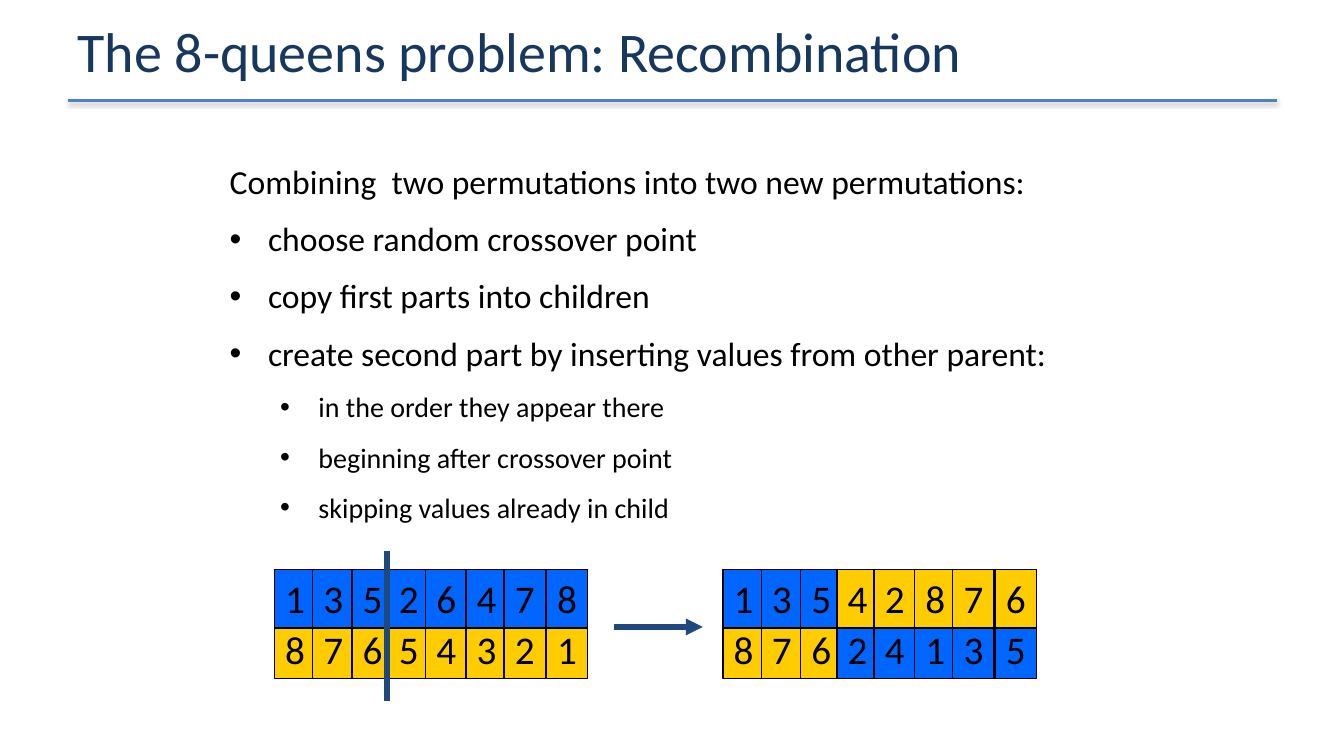
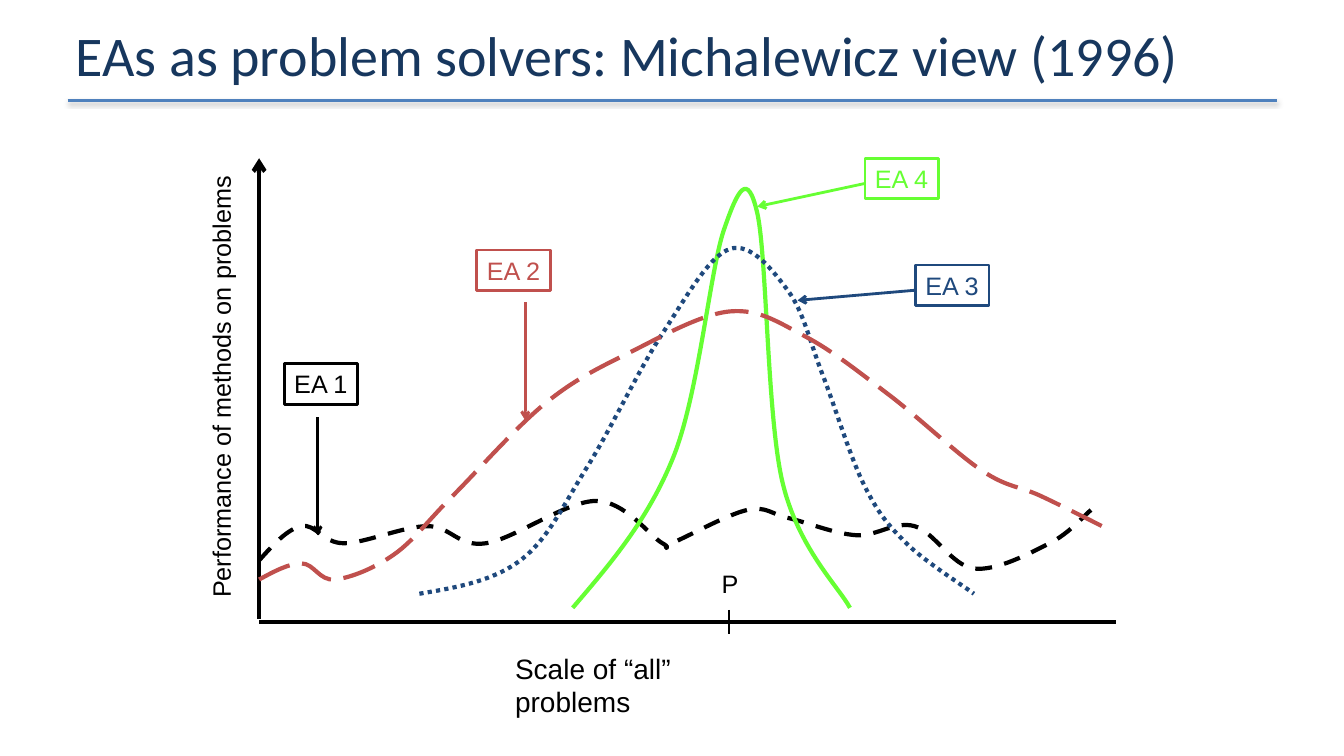
from dataclasses import dataclass
from itertools import pairwise
from typing import Optional

from lxml import etree
from pptx import Presentation
from pptx.dml.color import RGBColor
from pptx.enum.dml import MSO_LINE
from pptx.enum.shapes import MSO_CONNECTOR, MSO_SHAPE
from pptx.enum.text import MSO_ANCHOR, PP_ALIGN
from pptx.oxml.ns import qn
from pptx.presentation import Presentation as Deck
from pptx.shapes.autoshape import Shape
from pptx.shapes.connector import Connector
from pptx.slide import Slide
from pptx.text.text import _Paragraph as Paragraph
from pptx.util import Inches, Pt

BLACK = RGBColor(0x00, 0x00, 0x00)
TITLE_NAVY = RGBColor(0x17, 0x37, 0x5E)
RULE_BLUE = RGBColor(0x4F, 0x81, 0xBD)
DARK_BLUE = RGBColor(0x1F, 0x49, 0x7D)
GENE_BLUE = RGBColor(0x00, 0x66, 0xFF)
GENE_YELLOW = RGBColor(0xFF, 0xCC, 0x00)
GREEN = RGBColor(0x66, 0xFF, 0x33)
RED = RGBColor(0xC0, 0x50, 0x4D)

BODY_FONT = "Calibri"
CHART_FONT = "Arial"
TITLE_ONLY = 5
RECTANGLE = MSO_SHAPE.RECTANGLE
STRAIGHT = MSO_CONNECTOR.STRAIGHT
LEFT = PP_ALIGN.LEFT
CENTER = PP_ALIGN.CENTER
TOP = MSO_ANCHOR.TOP
MIDDLE = MSO_ANCHOR.MIDDLE
DASH = MSO_LINE.DASH
LONG_DASH = MSO_LINE.LONG_DASH
DOTTED = MSO_LINE.ROUND_DOT

HANG = 0.38
SUB_INDENT = 0.88
COLUMN_OFFSETS = (0, 0.38, 0.77, 1.13, 1.5, 1.9, 2.28, 2.7)
CELL_SIZE = (0.41, 0.58)
FIRST_ROW_TOP, SECOND_ROW_TOP = 5.65, 6.15
PARENTS_LEFT, CHILDREN_LEFT = 2.72, 7.17
CROSSOVER = 3
LABEL_SIZE = (0.73, 0.4)

Point = tuple[float, float]


@dataclass(frozen=True)
class BodyLine:
    text: str
    size: int = 24
    indent: Optional[float] = None
    level: int = 0


@dataclass(frozen=True)
class GeneRow:
    left: float
    top: float
    digits: str
    head_color: RGBColor
    tail_color: RGBColor


@dataclass(frozen=True)
class Algorithm:
    name: str
    color: RGBColor
    dash: Optional[MSO_LINE]
    label: Point
    arrow: tuple[Point, Point]
    knots: tuple[Point, ...]


BODY_LINES = (
    BodyLine("Combining  two permutations into two new permutations:"),
    BodyLine("choose random crossover point", indent=HANG),
    BodyLine("copy first parts into children", indent=HANG),
    BodyLine("create second part by inserting values from other parent:", indent=HANG),
    BodyLine("in the order they appear there", 20, SUB_INDENT, 1),
    BodyLine("beginning after crossover point", 20, SUB_INDENT, 1),
    BodyLine("skipping values already in child", 20, SUB_INDENT, 1),
)

GENE_ROWS = (
    GeneRow(CHILDREN_LEFT, SECOND_ROW_TOP, "87624135", GENE_YELLOW, GENE_BLUE),
    GeneRow(CHILDREN_LEFT, FIRST_ROW_TOP, "13542876", GENE_BLUE, GENE_YELLOW),
    GeneRow(PARENTS_LEFT, SECOND_ROW_TOP, "87654321", GENE_YELLOW, GENE_YELLOW),
    GeneRow(PARENTS_LEFT, FIRST_ROW_TOP, "13526478", GENE_BLUE, GENE_BLUE),
)

ALGORITHMS = (
    Algorithm("EA 1", BLACK, DASH, (2.82, 3.61), ((3.15, 4.14), (3.15, 5.31)), (
        (2.57, 5.56), (2.99, 5.22), (3.41, 5.39), (4.24, 5.22), (4.82, 5.39),
        (5.91, 4.97), (6.57, 5.39), (6.66, 5.39), (7.41, 5.06), (7.82, 5.14),
        (8.49, 5.31), (9.07, 5.22), (9.66, 5.64), (10.41, 5.39), (10.82, 5.06))),
    Algorithm("EA 4", GREEN, None, (8.58, 1.57), ((8.58, 1.82), (7.51, 2.05)), (
        (5.68, 6.03), (6.68, 4.53), (7.18, 2.28), (7.51, 2.11), (7.76, 4.78),
        (8.43, 6.03))),
    Algorithm("EA 3", DARK_BLUE, DOTTED, (9.08, 2.63), ((9.07, 2.88), (7.91, 2.98)), (
        (4.16, 5.89), (5.16, 5.56), (5.82, 4.64), (6.57, 3.31), (7.24, 2.47),
        (7.82, 2.89), (8.16, 3.72), (8.57, 4.81), (8.99, 5.39), (9.66, 5.89))),
    Algorithm("EA 2", RED, LONG_DASH, (4.73, 2.48), ((5.21, 3), (5.21, 4.17)), (
        (2.57, 5.75), (2.99, 5.59), (3.32, 5.75), (3.91, 5.5), (4.49, 4.92),
        (5.41, 4), (6.24, 3.5), (7.24, 3.09), (7.99, 3.34), (8.82, 3.92),
        (9.74, 4.67), (10.32, 4.92), (10.99, 5.25))),
)


def add_run(paragraph: Paragraph, text: str, size: int, font: str, color: RGBColor) -> None:
    run = paragraph.add_run()
    run.text = text
    run.font.size = Pt(size)
    run.font.name = font
    run.font.color.rgb = color


def add_line(slide: Slide, start: Point, end: Point, color: RGBColor, width: float,
             arrowhead: Optional[str] = None) -> Connector:
    connector = slide.shapes.add_connector(
        STRAIGHT, *(Inches(value) for value in start + end))
    connector.line.color.rgb = color
    connector.line.width = Pt(width)
    properties = connector.element.spPr
    if arrowhead:
        etree.SubElement(properties.find(qn("a:ln")), qn("a:tailEnd"), type=arrowhead)
    etree.SubElement(properties, qn("a:effectLst"))
    return connector


def add_label(slide: Slide, position: Point, size: Point, text: str, font_size: int = 18,
              wrap: bool = False) -> Shape:
    box = slide.shapes.add_textbox(*(Inches(value) for value in position + size))
    box.text_frame.word_wrap = wrap
    add_run(box.text_frame.paragraphs[0], text, font_size, CHART_FONT, BLACK)
    return box


def add_rectangle(slide: Slide, position: Point, size: Point, line_color: RGBColor,
                  line_width: float) -> Shape:
    shape = slide.shapes.add_shape(RECTANGLE, *(Inches(value) for value in position + size))
    shape.shadow.inherit = False
    shape.fill.background()
    shape.line.color.rgb = line_color
    shape.line.width = Pt(line_width)
    shape.text_frame.word_wrap = False
    shape.text_frame.vertical_anchor = TOP
    return shape


def add_titled_slide(presentation: Deck, text: str, position: Point, height: float) -> Slide:
    slide = presentation.slides.add_slide(presentation.slide_layouts[TITLE_ONLY])
    title = slide.shapes.title
    title.left, title.top = Inches(position[0]), Inches(position[1])
    title.width, title.height = Inches(12), Inches(height)
    frame = title.text_frame
    frame.margin_top = frame.margin_bottom = 0
    frame.vertical_anchor = MIDDLE
    frame.paragraphs[0].alignment = LEFT
    add_run(frame.paragraphs[0], text, 40, BODY_FONT, TITLE_NAVY)
    return slide


def move_rule_to_layout(slide: Slide) -> None:
    rule = add_line(slide, (0.67, 1), (12.67, 1), RULE_BLUE, 2)
    effects = rule.element.spPr.find(qn("a:effectLst"))
    shadow = etree.SubElement(effects, qn("a:outerShdw"), blurRad=str(Pt(3.1)),
                              dist=str(Pt(1.6)), dir="5400000", rotWithShape="0")
    shade = etree.SubElement(shadow, qn("a:srgbClr"), val=str(BLACK))
    etree.SubElement(shade, qn("a:alpha"), val="38000")
    slide.slide_layout.shapes.element.append(rule.element)


def add_bullet(paragraph: Paragraph, indent: float) -> None:
    properties = paragraph._p.get_or_add_pPr()
    properties.set("marL", str(Inches(indent)))
    properties.set("indent", str(Inches(-HANG)))
    etree.SubElement(properties, qn("a:buFont"), typeface=CHART_FONT)
    etree.SubElement(properties, qn("a:buChar"), char="•")


def add_body(slide: Slide) -> None:
    box = slide.shapes.add_textbox(Inches(2.18), Inches(1.55), Inches(9.15), Inches(3.73))
    frame = box.text_frame
    frame.word_wrap = True
    for index, line in enumerate(BODY_LINES):
        paragraph = frame.add_paragraph() if index else frame.paragraphs[0]
        paragraph.level = line.level
        if line.indent is not None:
            add_bullet(paragraph, line.indent)
        if index:
            paragraph.space_before = Pt(12)
        add_run(paragraph, line.text, line.size, BODY_FONT, BLACK)


def add_gene_row(slide: Slide, row: GeneRow) -> None:
    for column, (offset, digit) in enumerate(zip(COLUMN_OFFSETS, row.digits)):
        cell = add_rectangle(slide, (row.left + offset, row.top), CELL_SIZE, BLACK, 1)
        cell.fill.solid()
        cell.fill.fore_color.rgb = row.head_color if column < CROSSOVER else row.tail_color
        paragraph = cell.text_frame.paragraphs[0]
        paragraph.alignment = CENTER
        add_run(paragraph, digit, 28, BODY_FONT, BLACK)


def bezier_points(knots: tuple[Point, ...]) -> list[Point]:
    padded = (knots[0], *knots, knots[-1])
    tangents = [((after[0] - before[0]) / 6, (after[1] - before[1]) / 6)
                for before, after in zip(padded, padded[2:])]
    points = [knots[0]]
    for (start, leaving), (end, arriving) in pairwise(zip(knots, tangents)):
        first = (start[0] + leaving[0], start[1] + leaving[1])
        second = (end[0] - arriving[0], end[1] - arriving[1])
        if start == knots[0]:
            first = ((start[0] + second[0]) / 2, (start[1] + second[1]) / 2)
        points += [first, second, end]
    return points


def add_curve(slide: Slide, algorithm: Algorithm) -> None:
    points = [(Inches(x), Inches(y)) for x, y in bezier_points(algorithm.knots)]
    builder = slide.shapes.build_freeform(*points[0])
    builder.add_line_segments(points[1:], close=False)
    shape = builder.convert_to_shape()
    outline = next(shape.element.iter(qn("a:path")))
    segments = outline.findall(qn("a:lnTo"))
    for index in range(0, len(segments), 3):
        bezier = etree.SubElement(outline, qn("a:cubicBezTo"))
        for segment in segments[index:index + 3]:
            bezier.append(segment[0])
            outline.remove(segment)
    shape.shadow.inherit = False
    shape.fill.background()
    shape.line.color.rgb = algorithm.color
    shape.line.width = Pt(3)
    if algorithm.dash is not None:
        shape.line.dash_style = algorithm.dash


def add_algorithm(slide: Slide, algorithm: Algorithm) -> None:
    add_curve(slide, algorithm)
    label = add_rectangle(slide, algorithm.label, LABEL_SIZE, algorithm.color, 2)
    paragraph = label.text_frame.paragraphs[0]
    paragraph.alignment = LEFT
    add_run(paragraph, algorithm.name, 18, CHART_FONT, algorithm.color)
    add_line(slide, *algorithm.arrow, algorithm.color, 2, "arrow")


def build_recombination(presentation: Deck) -> None:
    slide = add_titled_slide(
        presentation, "The 8-queens problem: Recombination", (0.67, 0.02), 0.95)
    move_rule_to_layout(slide)
    add_body(slide)
    add_line(slide, (6.09, 6.22), (6.97, 6.22), DARK_BLUE, 4, "triangle")
    for row in GENE_ROWS:
        add_gene_row(slide, row)
    add_line(slide, (3.84, 5.47), (3.84, 6.95), DARK_BLUE, 4)


def build_problem_solvers(presentation: Deck) -> None:
    slide = add_titled_slide(
        presentation, "EAs as problem solvers: Michalewicz view (1996)", (0.65, 0.09), 0.9)
    add_label(slide, (5.01, 6.41), (2.8, 0.76), "Scale of “all” problems", 20, True)
    add_line(slide, (2.57, 6.17), (11.07, 6.17), BLACK, 3)
    add_line(slide, (7.23, 6.05), (7.23, 6.29), BLACK, 2)
    add_label(slide, (7.06, 5.59), (0.37, 0.4), "P")
    add_line(slide, (2.57, 6.14), (2.57, 1.57), BLACK, 3, "arrow")
    axis_title = add_label(slide, (0, 3.64), (4.38, 0.4), "Performance of methods on problems")
    axis_title.rotation = 270
    for algorithm in ALGORITHMS:
        add_algorithm(slide, algorithm)


def main() -> None:
    presentation = Presentation()
    presentation.slide_width = Inches(13.33)
    presentation.slide_height = Inches(7.5)
    build_recombination(presentation)
    build_problem_solvers(presentation)
    presentation.save("out.pptx")


if __name__ == "__main__":
    main()
